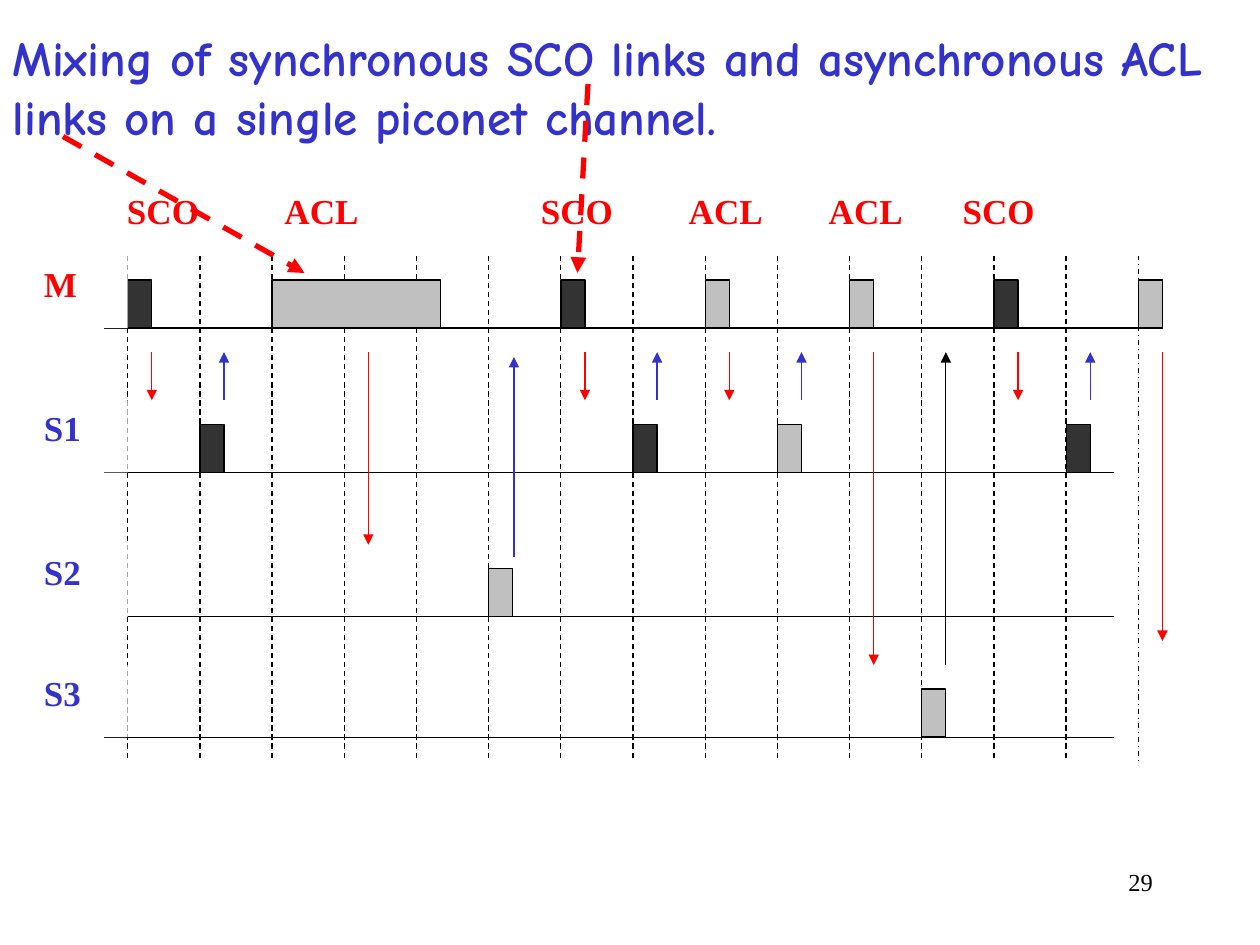
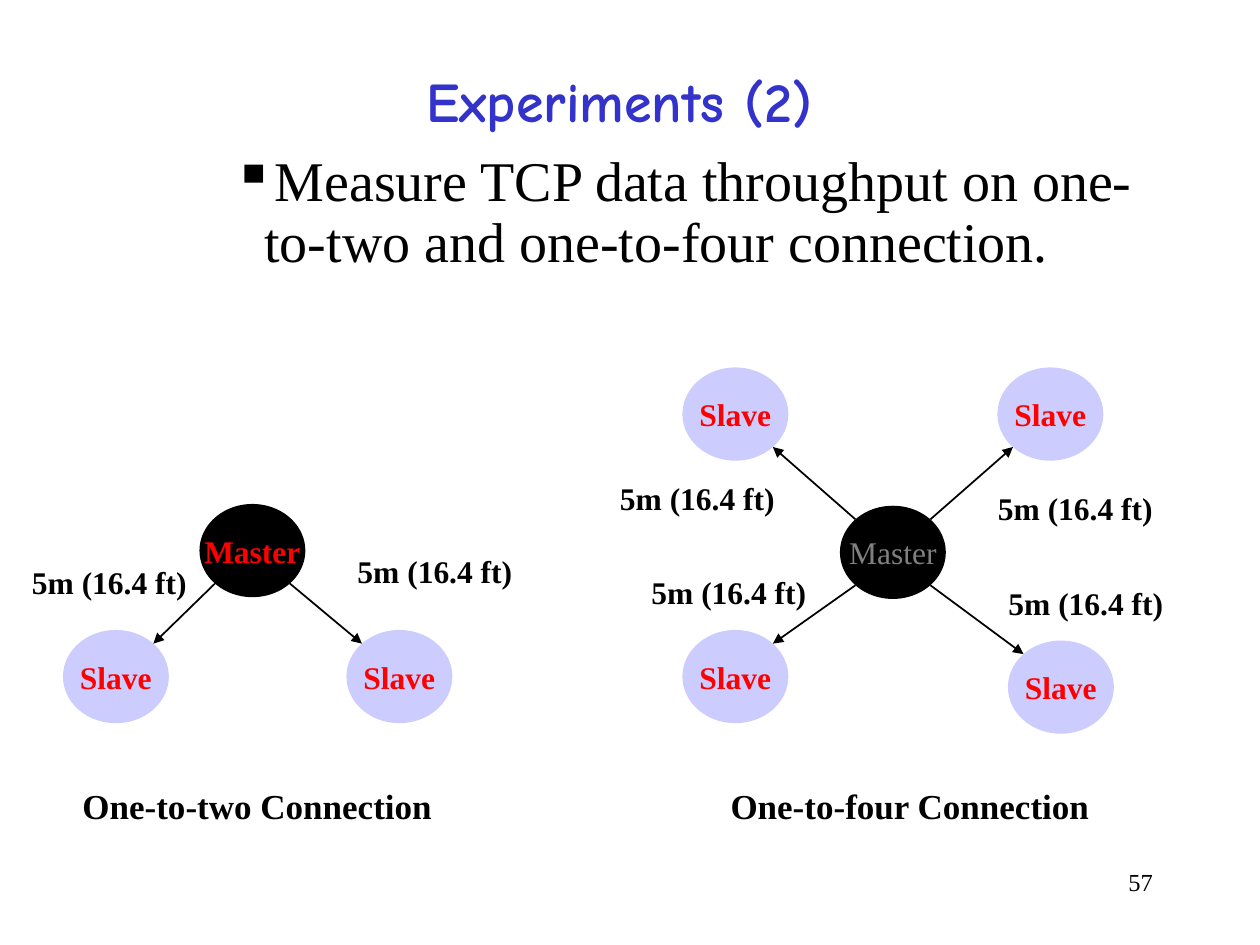
from itertools import chain
from lxml import etree
from pptx import Presentation
from pptx.dml.color import RGBColor
from pptx.enum.dml import MSO_LINE
from pptx.enum.shapes import MSO_CONNECTOR, MSO_SHAPE
from pptx.enum.text import MSO_ANCHOR, MSO_AUTO_SIZE, PP_ALIGN
from pptx.oxml.ns import qn
from pptx.util import Pt

LEFT, MID, RIGHT = PP_ALIGN.LEFT, PP_ALIGN.CENTER, PP_ALIGN.RIGHT
TOP, CENTER = MSO_ANCHOR.TOP, MSO_ANCHOR.MIDDLE
RECT, OVAL = MSO_SHAPE.RECTANGLE, MSO_SHAPE.OVAL
DASH, DASHDOT = MSO_LINE.DASH, MSO_LINE.DASH_DOT
BLACK, WHITE, RED, BLUE = "000000", "FFFFFF", "FF0000", "3333CC"
DARK, LIGHT, LILAC, GRAY = "333333", "C0C0C0", "CCCCFF", "808080"
SERIF, COMIC = "Times New Roman", "Comic Neue"
INSET = (7.2, 3.6)
UNIT = 13.75
SLOT = 3
NODE = (60.5, 53.25)
DIAG = 0.5 ** 0.5 / 2


def color(code):
    return RGBColor.from_string(code)


def element(parent, tag, **attrs):
    return etree.SubElement(parent, qn(tag), attrs)


def write(shape, text, size, code, font=SERIF, bold=True, align=LEFT,
          anchor=TOP, wrap=True, inset=INSET):
    frame = shape.text_frame
    frame.auto_size = MSO_AUTO_SIZE.NONE
    frame.word_wrap = wrap
    frame.vertical_anchor = anchor
    frame.margin_left = frame.margin_right = Pt(inset[0])
    frame.margin_top = frame.margin_bottom = Pt(inset[1])
    para = frame.paragraphs[0]
    para.alignment = align
    run = para.add_run()
    run.text = text
    run.font.name, run.font.size, run.font.bold = font, Pt(size), bold
    run.font.color.rgb = color(code)
    return para


def label(slide, box, text, size, **style):
    area = slide.shapes.add_textbox(*map(Pt, box))
    return write(area, text, size, BLACK, **style)


def block(slide, kind, box, fill, edge=None):
    shape = slide.shapes.add_shape(kind, *map(Pt, box))
    shape.shadow.inherit = False
    shape.fill.solid()
    shape.fill.fore_color.rgb = color(fill)
    if edge:
        shape.line.color.rgb = color(edge)
        shape.line.width = Pt(0.75)
    else:
        shape.line.fill.background()
    return shape


def line(slide, start, end, code=BLACK, width=0.75, dash=None, arrow=False):
    link = slide.shapes.add_connector(
        MSO_CONNECTOR.STRAIGHT, *map(Pt, chain(start, end)))
    link.line.color.rgb = color(code)
    link.line.width = Pt(width)
    if dash:
        link.line.dash_style = dash
    if arrow:
        element(link.line._get_or_add_ln(), "a:tailEnd", type="triangle")
    element(link._element.spPr, "a:effectLst")


def start(deck, box, text, size, page, **style):
    slide = deck.slides.add_slide(deck.slide_layouts[5])
    title = slide.shapes.title
    title.left, title.top, title.width, title.height = map(Pt, box)
    write(title, text, size, BLUE, font=COMIC, **style)
    label(slide, (516, 492, 150, 36), page, 14, bold=False, align=RIGHT)
    return slide


def chart(slide, left, top):
    def spot(col, row):
        return left + col * UNIT, top + row * UNIT

    def cell(col, row, wide, high):
        return *spot(col, row), wide * UNIT, high * UNIT

    rows = [
        ("M", 6, RED, 43, (0, 6, 12), (2, 8, 10, 14)),
        ("S1", 12, BLUE, 41, (1, 7, 13), (9,)),
        ("S2", 18, BLUE, 41, (), (5,)),
        ("S3", 23, BLUE, 41, (), (11,)),
    ]
    for name, base, code, end, sync, other in rows:
        line(slide, spot(-1, base), spot(end, base))
    for slot in range(15):
        line(slide, spot(slot * SLOT, 0), spot(slot * SLOT, 24),
             dash=DASHDOT if slot == 14 else DASH)
    for name, base, code, end, sync, other in rows:
        for slots, fill in ((sync, DARK), (other, LIGHT)):
            for slot in slots:
                wide = 7 if (name, slot) == ("M", 2) else 1
                block(slide, RECT, cell(slot * SLOT, base - 2, wide, 2), fill, BLACK)
        tag = block(slide, RECT, cell(-4, base - 3, 4, 3), WHITE)
        write(tag, name, 20, code)

    for col, low in ((1, 9), (10, 15), (19, 9), (25, 9), (31, 20), (37, 9), (43, 19)):
        line(slide, spot(col, 7), spot(col, low), RED, arrow=True)
    for col in (4, 22, 28, 40):
        line(slide, spot(col, 9), spot(col, 7), BLUE, arrow=True)
    line(slide, spot(34, 20), spot(34, 7), arrow=True)
    line(slide, spot(16.05, 15.5), spot(16.05, 7.2), BLUE, arrow=True)

    band = block(slide, RECT, cell(-2, 0, 45, 3), WHITE)
    para = write(band, "\tSCO\tACL\tSCO\tACL\tACL\tSCO", 20, RED)
    tabs = element(para._p.get_or_add_pPr(), "a:tabLst")
    for stop in (20, 110, 256.5, 341, 421, 497.5):
        element(tabs, "a:tab", pos=str(Pt(stop)), algn="l")


def bullet(slide, box, text):
    para = label(slide, box, text, 32, bold=False)
    props = para._p.get_or_add_pPr()
    props.set("marL", str(Pt(90)))
    props.set("indent", str(Pt(-18)))
    tint = element(props, "a:buClr")
    element(tint, "a:srgbClr", val=BLACK)
    element(props, "a:buChar", char="▪")
    para.line_spacing = 0.9


def star(slide, box, hub, slaves, notes, title, shift, **style):
    left, top, width, height = box

    def node(at, text, fill, code, **look):
        oval = block(slide, OVAL, (left + at[0], top + at[1], *NODE), fill)
        write(oval, text, 18, code, align=MID, anchor=CENTER, wrap=False, **look)

    def rim(at, side):
        return [edge + at[i] + NODE[i] * (0.5 + DIAG * side[i])
                for i, edge in enumerate((left, top))]

    node(hub, "Master", BLACK, **style)
    for slave in slaves:
        node(slave, "Slave", LILAC, RED)
    for slave in slaves:
        side = [1 if there > here else -1 for here, there in zip(hub, slave)]
        line(slide, rim(hub, side), rim(slave, [-s for s in side]), width=1, arrow=True)
    for x, y in notes:
        label(slide, (left + x, top + y, 103, 29), "5m (16.4 ft)", 18,
              align=MID, wrap=False)
    label(slide, (left + shift, top + height - 32, width - 2 * shift, 32),
          title, 20, align=MID, wrap=False)


def mixing(deck):
    slide = start(deck, (0, 12, 720, 75),
                  "Mixing of synchronous SCO links and asynchronous ACL "
                  "links on a single piconet channel.", 28, "29")
    chart(slide, 73, 105)
    line(slide, (336, 48), (330, 156), RED, 3, DASH, True)
    line(slide, (36, 78), (174, 156), RED, 3, DASH, True)


def tests(deck):
    slide = start(deck, (48, 12, 612, 90), "Experiments (2)", 32, "57",
                  align=MID, anchor=CENTER, inset=(0, 0))
    bullet(slide, (54, 84, 612, 84),
           "Measure TCP data throughput on one-to-two and one-to-four connection.")
    star(slide, (11, 288, 272, 189), (103, 0), [(25, 72), (187, 72)],
         [(186, 24), (0, 30)], "One-to-two Connection", 28, code=RED)
    star(slide, (347, 210, 346, 267), (133, 79),
         [(229, 156), (43, 150), (223, 0), (43, 0)],
         [(0, 60), (216, 66), (18, 114), (222, 120)],
         "One-to-four Connection", 65, code=GRAY, bold=False)


def main():
    deck = Presentation()
    deck.slide_width, deck.slide_height = Pt(720), Pt(540)
    mixing(deck)
    tests(deck)
    deck.save("out.pptx")


if __name__ == "__main__":
    main()
